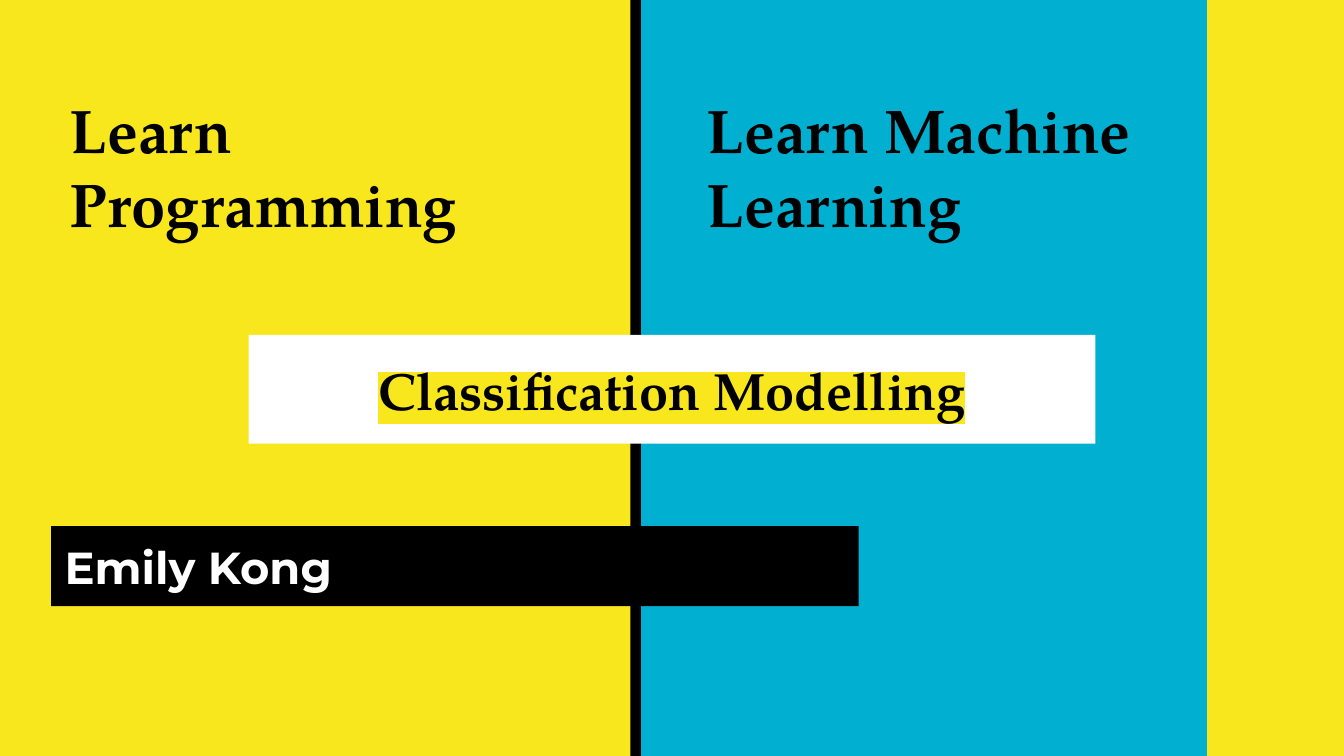
from dataclasses import dataclass

from lxml.etree import SubElement
from pptx import Presentation
from pptx.dml.color import RGBColor
from pptx.enum.shapes import MSO_SHAPE
from pptx.enum.text import MSO_ANCHOR, MSO_AUTO_SIZE, PP_ALIGN
from pptx.oxml.ns import qn
from pptx.util import Inches, Pt


@dataclass(frozen=True)
class Theme:
    """Colours, fonts and type sizes of the slide."""
    yellow: str = "F8E71C"
    blue: str = "01AFD1"
    black: str = "000000"
    white: str = "FFFFFF"
    serif: str = "TeX Gyre Pagella"
    sans: str = "Montserrat"
    head: int = 33
    title: int = 28
    name: int = 24


THEME = Theme()
WIDTH = Inches(10)
HEIGHT = WIDTH * 9 // 16
SPLIT, RULE, EDGE = 46.9, 0.8, 89.8


def share(box, left, top, width, height):
    """Return the part of a box given by percentages of its size."""
    x, y, w, h = box
    return (round(x + left * w / 100), round(y + top * h / 100),
            round(width * w / 100), round(height * h / 100))


def paint(shape, color):
    """Give a shape a solid fill and no outline."""
    shape.fill.solid()
    shape.fill.fore_color.rgb = RGBColor.from_string(color)
    shape.line.fill.background()


def place(shape, box):
    """Move and size a shape to a box."""
    shape.left, shape.top, shape.width, shape.height = box


def write(shape, text, size, font, color, align=PP_ALIGN.LEFT,
          anchor=MSO_ANCHOR.TOP):
    """Write one bold run into a shape and return the run."""
    frame = shape.text_frame
    frame.word_wrap = True
    frame.auto_size = MSO_AUTO_SIZE.NONE
    frame.vertical_anchor = anchor
    frame.margin_left = frame.margin_right = Inches(0.1)
    frame.margin_top = frame.margin_bottom = Inches(0.1)
    para = frame.paragraphs[0]
    para.alignment = align
    para.space_before = Pt(0)
    run = para.add_run()
    run.text = text
    run.font.size = Pt(size)
    run.font.bold = True
    run.font.color.rgb = RGBColor.from_string(color)
    run.font.name = font
    return run


def mark(run, color):
    """Highlight a run."""
    props = run.font._element
    light = SubElement(props, qn("a:highlight"))
    SubElement(light, qn("a:srgbClr")).set("val", color)
    props.find(qn("a:solidFill")).addnext(light)


def add_panel(slide, box, color):
    """Lay a plain panel behind the text of the slide."""
    panel = slide.shapes.add_shape(MSO_SHAPE.RECTANGLE, *box)
    panel.shadow.inherit = False
    paint(panel, color)
    slide.shapes._spTree.insert(2, panel._element)


def add_head(slide, box, text):
    """Add the heading of one half."""
    write(slide.shapes.add_textbox(*box), text, THEME.head, THEME.serif,
          THEME.black)


def add_title(slide, box):
    """Fill the title band with a highlighted line."""
    title = slide.shapes.title
    place(title, box)
    paint(title, THEME.white)
    run = write(title, "Classification Modelling", THEME.title, THEME.serif,
                THEME.black, PP_ALIGN.CENTER, MSO_ANCHOR.MIDDLE)
    mark(run, THEME.yellow)


def add_name(slide, box):
    """Fill the name band with the speaker."""
    band = slide.placeholders[1]
    place(band, box)
    paint(band, THEME.black)
    write(band, "Emily Kong", THEME.name, THEME.sans, THEME.white,
          anchor=MSO_ANCHOR.MIDDLE)


def add_cover(deck, box):
    """Build the two-colour cover slide."""
    slide = deck.slides.add_slide(deck.slide_layouts[0])
    ground = slide.background.fill
    ground.solid()
    ground.fore_color.rgb = RGBColor.from_string(THEME.yellow)
    start = SPLIT + RULE
    add_panel(slide, share(box, start, 0, EDGE - start, 100), THEME.blue)
    add_panel(slide, share(box, SPLIT, 0, RULE, 100), THEME.black)
    add_title(slide, share(box, 18.5, 44.3, 63, 14.4))
    add_name(slide, share(box, 3.8, 69.6, 60.1, 10.6))
    add_head(slide, share(box, 4.2, 10.4, 40.5, 19),
             "Learn Programming")
    add_head(slide, share(box, 51.6, 10.4, 46, 17.4),
             "Learn Machine Learning")


def main():
    """Make the deck and save it."""
    deck = Presentation()
    deck.slide_width, deck.slide_height = WIDTH, HEIGHT
    add_cover(deck, (0, 0, WIDTH, HEIGHT))
    deck.save("out.pptx")


if __name__ == "__main__":
    main()
